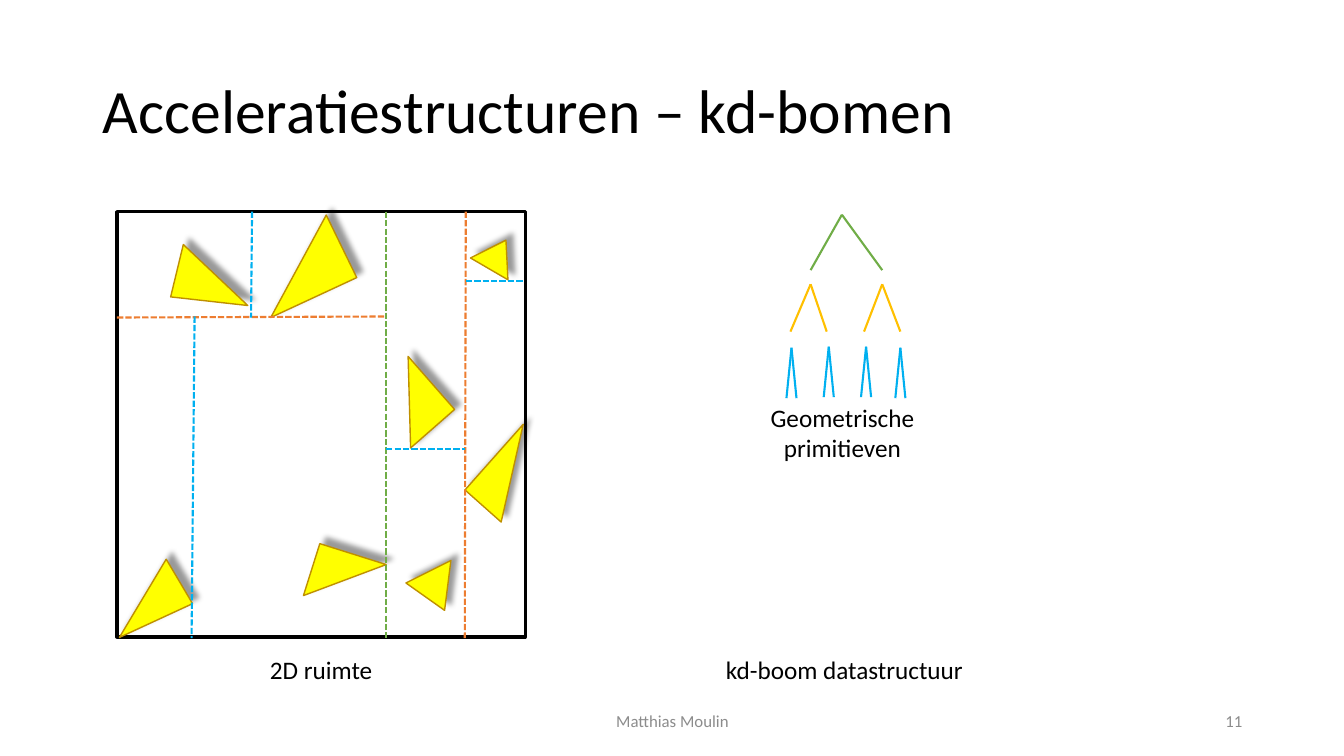
"""Build the slide on kd-trees as an acceleration structure."""
from typing import NamedTuple

from lxml.etree import SubElement
from pptx import Presentation
from pptx.dml.color import RGBColor
from pptx.enum.dml import MSO_LINE
from pptx.enum.shapes import MSO_CONNECTOR, MSO_SHAPE
from pptx.enum.text import MSO_ANCHOR, MSO_AUTO_SIZE, PP_ALIGN
from pptx.oxml.ns import qn
from pptx.slide import Slide
from pptx.text.text import TextFrame
from pptx.util import Inches, Pt

HUES = {
    "black": "000000", "gray": "8C8C8C", "yellow": "FFFF00", "brown": "BF9000",
    "green": "70AD47", "orange": "ED7D31", "blue": "00B0F0", "gold": "FFC000",
}
LEFT, TOP, WIDE, HIGH = 1.16, 2.1, 4.05, 4.22
END = 6.33


class Wedge(NamedTuple):
    left: float
    top: float
    wide: float
    high: float
    turn: float
    peak: float = 0.5


class Split(NamedTuple):
    hue: str
    x1: float
    y1: float
    x2: float
    y2: float


class Fork(NamedTuple):
    hue: str
    x: float
    y: float
    left: float
    right: float
    drop: float


class Label(NamedTuple):
    text: str
    left: float
    top: float
    wide: float
    high: float
    size: int = 18
    hue: str = "black"
    align: PP_ALIGN = PP_ALIGN.CENTER
    anchor: MSO_ANCHOR = MSO_ANCHOR.TOP


WEDGES = [
    Wedge(1.04, 5.67, 0.8, 0.51, 335.2, 0.935),
    Wedge(3.15, 5.41, 0.54, 0.69, 107.5, 0),
    Wedge(1.72, 2.46, 0.77, 0.53, 6.4, 0.087),
    Wedge(2.62, 2.18, 0.69, 0.94, 244, 0.026),
    Wedge(4.11, 5.52, 0.47, 0.44, 35.3),
    Wedge(4.84, 4.26, 0.48, 0.87, 41.6, 0),
    Wedge(3.77, 3.64, 0.58, 0.7, 318.8, 1),
    Wedge(4.72, 2.36, 0.43, 0.33, 30.2),
]
SPLITS = [
    Split("green", 3.83, TOP, 3.83, END),
    Split("orange", 4.62, TOP, 4.61, END),
    Split("orange", LEFT, 3.15, 3.83, 3.14),
    Split("blue", 2.5, TOP, 2.49, 3.15),
    Split("blue", 1.93, 3.14, 1.9, END),
    Split("blue", 4.62, 2.79, 5.2, 2.79),
    Split("blue", 3.83, 4.45, 4.61, 4.45),
]
FORKS = [
    Fork("green", 8.35, 2.13, 8.04, 8.75, 0.55),
    Fork("gold", 8.04, 2.82, 7.84, 8.2, 0.47),
    Fork("gold", 8.75, 2.82, 8.57, 8.93, 0.47),
] + [
    Fork("blue", x, y, x - 0.05, x + 0.05, 0.5)
    for x, y in [(7.85, 3.45), (8.22, 3.44), (8.59, 3.44), (8.93, 3.45)]
]
LABELS = [
    Label("2D ruimte", LEFT, 6.44, WIDE, 0.4),
    Label("Geometrische primitieven", 7.19, 3.94, 2.33, 0.71),
    Label("kd-boom datastructuur", 7.05, 6.44, 2.65, 0.4),
    Label("Matthias Moulin", 4.42, 6.95, 4.5, 0.4, 12, "gray",
          anchor=MSO_ANCHOR.MIDDLE),
    Label("11", 9.42, 6.95, 3, 0.4, 12, "gray", PP_ALIGN.RIGHT,
          MSO_ANCHOR.MIDDLE),
]


def tint(name: str) -> RGBColor:
    return RGBColor.from_string(HUES[name])


def write(frame: TextFrame, label: Label) -> None:
    frame.text = label.text
    frame.word_wrap = True
    frame.auto_size = MSO_AUTO_SIZE.NONE
    frame.vertical_anchor = label.anchor
    para = frame.paragraphs[0]
    para.alignment = label.align
    font = para.runs[0].font
    font.name = "Calibri"
    font.size = Pt(label.size)
    font.color.rgb = tint(label.hue)


def add_label(slide: Slide, label: Label) -> None:
    box = slide.shapes.add_textbox(*map(Inches, label[1:5]))
    write(box.text_frame, label)


def add_title(slide: Slide, label: Label) -> None:
    title = slide.shapes.title
    title.left, title.top, title.width, title.height = map(Inches, label[1:5])
    write(title.text_frame, label)
    title.text_frame.paragraphs[0].line_spacing = 0.9


def add_frame(slide: Slide) -> None:
    box = slide.shapes.add_shape(
        MSO_SHAPE.RECTANGLE, *map(Inches, (LEFT, TOP, WIDE, HIGH)))
    box.shadow.inherit = False
    box.fill.background()
    box.line.color.rgb = tint("black")
    box.line.width = Pt(2.25)


def add_wedge(slide: Slide, wedge: Wedge) -> None:
    shape = slide.shapes.add_shape(
        MSO_SHAPE.ISOSCELES_TRIANGLE, *map(Inches, wedge[:4]))
    shape.rotation = wedge.turn
    shape.adjustments[0] = wedge.peak
    shape.fill.solid()
    shape.fill.fore_color.rgb = tint("yellow")
    shape.line.color.rgb = tint("brown")
    shape.line.width = Pt(1)
    shape.shadow.inherit = False
    glow = SubElement(
        shape.element.spPr.find(qn("a:effectLst")), qn("a:outerShdw"),
        blurRad=str(Pt(4)), dist=str(Pt(6)), dir=str(315 * 60000),
        algn="ctr", rotWithShape="0")
    shade = SubElement(glow, qn("a:srgbClr"), val=HUES["black"])
    SubElement(shade, qn("a:alpha"), val="40000")


def add_line(slide: Slide, split: Split, dash: bool = False) -> None:
    line = slide.shapes.add_connector(
        MSO_CONNECTOR.STRAIGHT, *map(Inches, split[1:]))
    line.line.color.rgb = tint(split.hue)
    line.line.width = Pt(1.5)
    if dash:
        line.line.dash_style = MSO_LINE.SQUARE_DOT
    SubElement(line.element.spPr, qn("a:effectLst"))


def add_fork(slide: Slide, fork: Fork) -> None:
    for foot in (fork.left, fork.right):
        add_line(slide, Split(fork.hue, fork.x, fork.y,
                              foot, fork.y + fork.drop))


def main() -> None:
    deck = Presentation()
    deck.slide_width, deck.slide_height = Inches(13.33), Inches(7.5)
    slide = deck.slides.add_slide(deck.slide_layouts[5])
    add_title(slide, Label("Acceleratiestructuren – kd-bomen",
                           0.92, 0.4, 11.5, 1.45, 44, "black",
                           PP_ALIGN.LEFT, MSO_ANCHOR.MIDDLE))
    add_frame(slide)
    for wedge in WEDGES:
        add_wedge(slide, wedge)
    for split in SPLITS:
        add_line(slide, split, dash=True)
    for fork in FORKS:
        add_fork(slide, fork)
    for label in LABELS:
        add_label(slide, label)
    deck.save("out.pptx")


if __name__ == "__main__":
    main()
